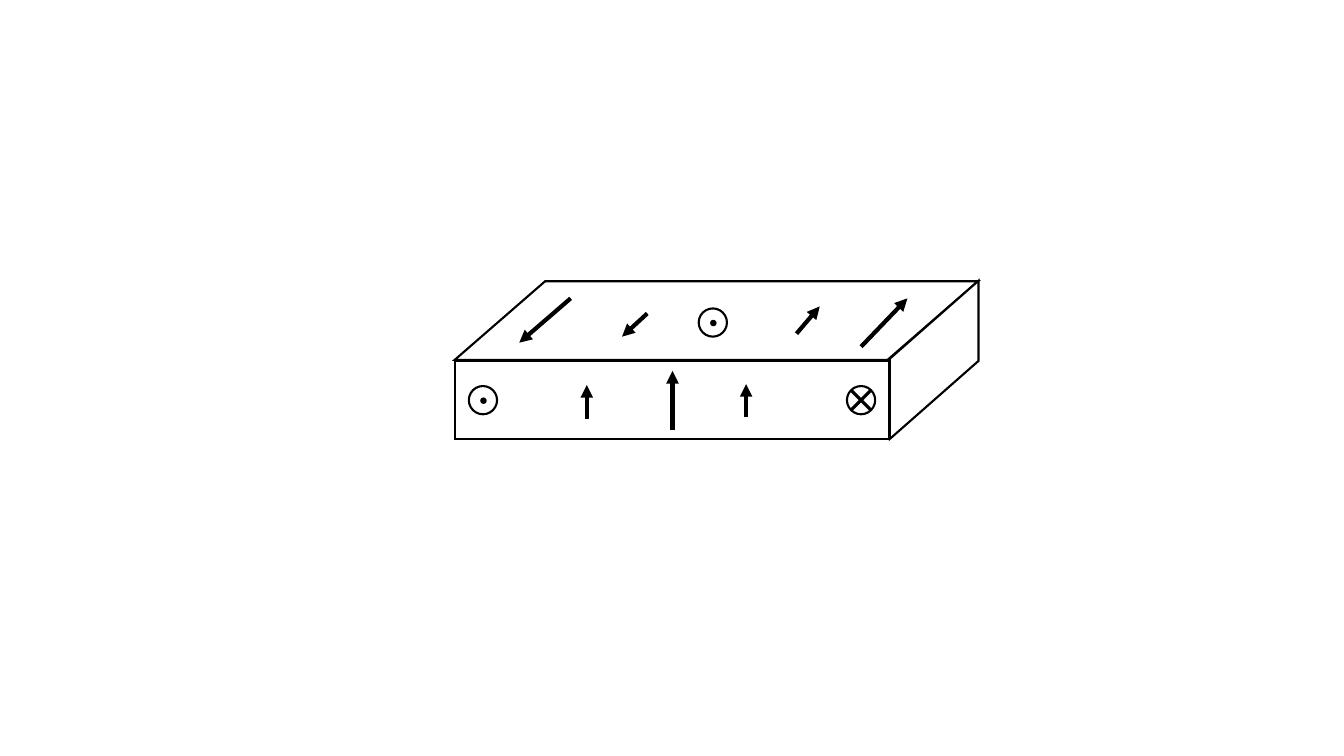
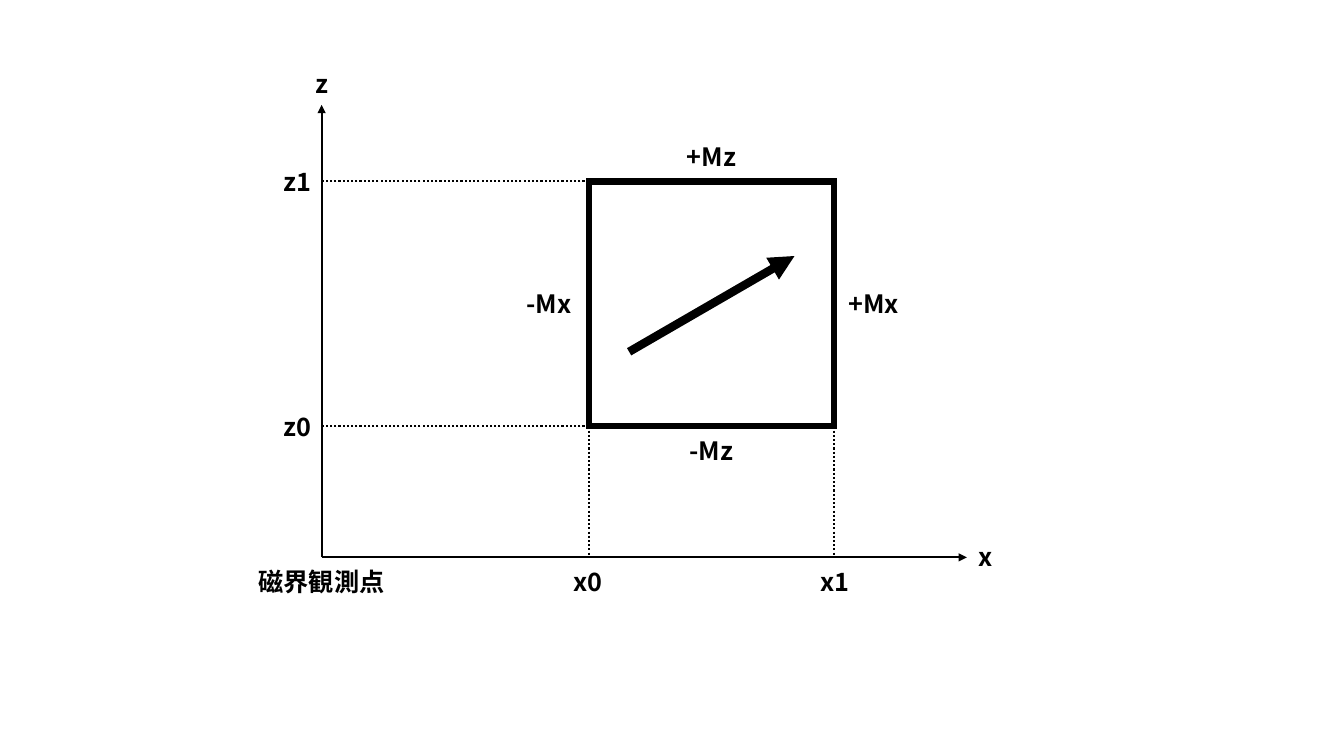
from lxml.etree import SubElement
from pptx import Presentation
from pptx.dml.color import RGBColor
from pptx.enum.dml import MSO_LINE_DASH_STYLE as Dash
from pptx.enum.shapes import MSO_CONNECTOR as Connector, MSO_SHAPE as Shape
from pptx.enum.text import MSO_ANCHOR as Anchor, MSO_AUTO_SIZE as AutoSize, PP_ALIGN as Align
from pptx.oxml.ns import qn
from pptx.util import Emu, Pt

PX = 9144
BLACK, WHITE = "000000", "FFFFFF"
FONT = "Noto Sans CJK JP"
color = RGBColor.from_string


def add_shape(shapes, kind, box, fill=WHITE, width=1.5):
    shape = shapes.add_shape(kind, *[Emu(value * PX) for value in box])
    shape.shadow.inherit = False
    if fill:
        shape.fill.solid()
        shape.fill.fore_color.rgb = color(fill)
    else:
        shape.fill.background()
    shape.line.color.rgb = color(BLACK)
    shape.line.width = Pt(width)
    SubElement(shape.line._get_or_add_ln(), qn("a:miter"), lim="800000")
    return shape


def add_line(shapes, start, end, width, arrow=False, dash=None):
    points = [Emu(value * PX) for value in (*start, *end)]
    connector = shapes.add_connector(Connector.STRAIGHT, *points)
    connector.line.color.rgb = color(BLACK)
    connector.line.width = Pt(width)
    if dash:
        connector.line.dash_style = dash
    if arrow:
        SubElement(connector.line._get_or_add_ln(), qn("a:tailEnd"), type="triangle")
    SubElement(connector._element.spPr, qn("a:effectLst"))


presentation = Presentation()
presentation.slide_width = Emu(1333 * PX)
presentation.slide_height = Emu(750 * PX)
blank_layout = presentation.slide_layouts[6]

magnet_slide = presentation.slides.add_slide(blank_layout)
shapes = magnet_slide.shapes

add_shape(shapes, Shape.RECTANGLE, (451, 358, 431, 78))
top_face = add_shape(shapes, Shape.PARALLELOGRAM, (451, 279, 519, 78))
top_face.adjustments[0] = 1.15
side_face = add_shape(shapes, Shape.PARALLELOGRAM, (848, 313, 157, 88))
side_face.adjustments[0] = 0.88
side_face.rotation = 90
side_face._element.spPr.find(qn("a:xfrm")).set("flipV", "1")

magnetization_arrows = [
    ((667, 427), (667, 368)),
    ((582, 416), (582, 382)),
    ((740, 414), (740, 381)),
    ((566, 296), (515, 340)),
    ((642, 311), (617, 334)),
    ((790, 331), (813, 304)),
    ((854, 344), (900, 296)),
]
for start, end in magnetization_arrows:
    add_line(shapes, start, end, 3, arrow=True)

for x, y in [(479, 397), (707, 320)]:
    add_shape(shapes, Shape.OVAL, (x - 14, y - 14, 28, 28))
    add_shape(shapes, Shape.OVAL, (x - 2, y - 2, 5, 5), BLACK, 1)

inward_symbol = shapes.add_group_shape().shapes
x, y = 854, 397
add_shape(inward_symbol, Shape.OVAL, (x - 14, y - 14, 28, 28))
for slope in (1, -1):
    add_line(inward_symbol, (x - 10, y - 10 * slope), (x + 10, y + 10 * slope), 2.25)

field_slide = presentation.slides.add_slide(blank_layout)
shapes = field_slide.shapes

origin_x, origin_y = 319, 553
x0, x1 = 584, 827
z1, z0 = 180, 423

for end in [(origin_x, 104), (959, origin_y)]:
    add_line(shapes, (origin_x, origin_y), end, 1.5, arrow=True)
add_shape(shapes, Shape.RECTANGLE, (x0, z1, x1 - x0, z0 - z1), None, 4.5)
add_line(shapes, (624, 349), (788, 254), 6, arrow=True)
for x in (x0, x1):
    add_line(shapes, (x, z0), (x, origin_y), 1.5, dash=Dash.ROUND_DOT)
for z in (z1, z0):
    add_line(shapes, (x0, z), (origin_x, z), 1.5, dash=Dash.ROUND_DOT)

labels = [
    ("z1", 270, 160, 50),
    ("z0", 270, 403, 50),
    ("x1", 803, 557, 50),
    ("x0", 558, 557, 50),
    ("+Mx", 827, 281, 79),
    ("-Mx", 505, 281, 79),
    ("-Mz", 666, 427, 79),
    ("+Mz", 666, 135, 79),
    ("z", 302, 63, 34),
    ("x", 961, 532, 34),
    ("磁界観測点", 221, 557, 196),
]
frame_format = {"word_wrap": True, "auto_size": AutoSize.SHAPE_TO_FIT_TEXT, "vertical_anchor": Anchor.TOP}
font_format = {"name": FONT, "size": Pt(18), "bold": True}
for text, left, top, width in labels:
    label = shapes.add_textbox(*[Emu(value * PX) for value in (left, top, width, 40)])
    for name, value in frame_format.items():
        setattr(label.text_frame, name, value)
    paragraph = label.text_frame.paragraphs[0]
    paragraph.alignment = Align.CENTER
    run = paragraph.add_run()
    run.text = text
    for name, value in font_format.items():
        setattr(run.font, name, value)
    run.font.color.rgb = color(BLACK)
    SubElement(run._r.get_or_add_rPr(), qn("a:ea"), typeface=FONT)

presentation.save("out.pptx")
